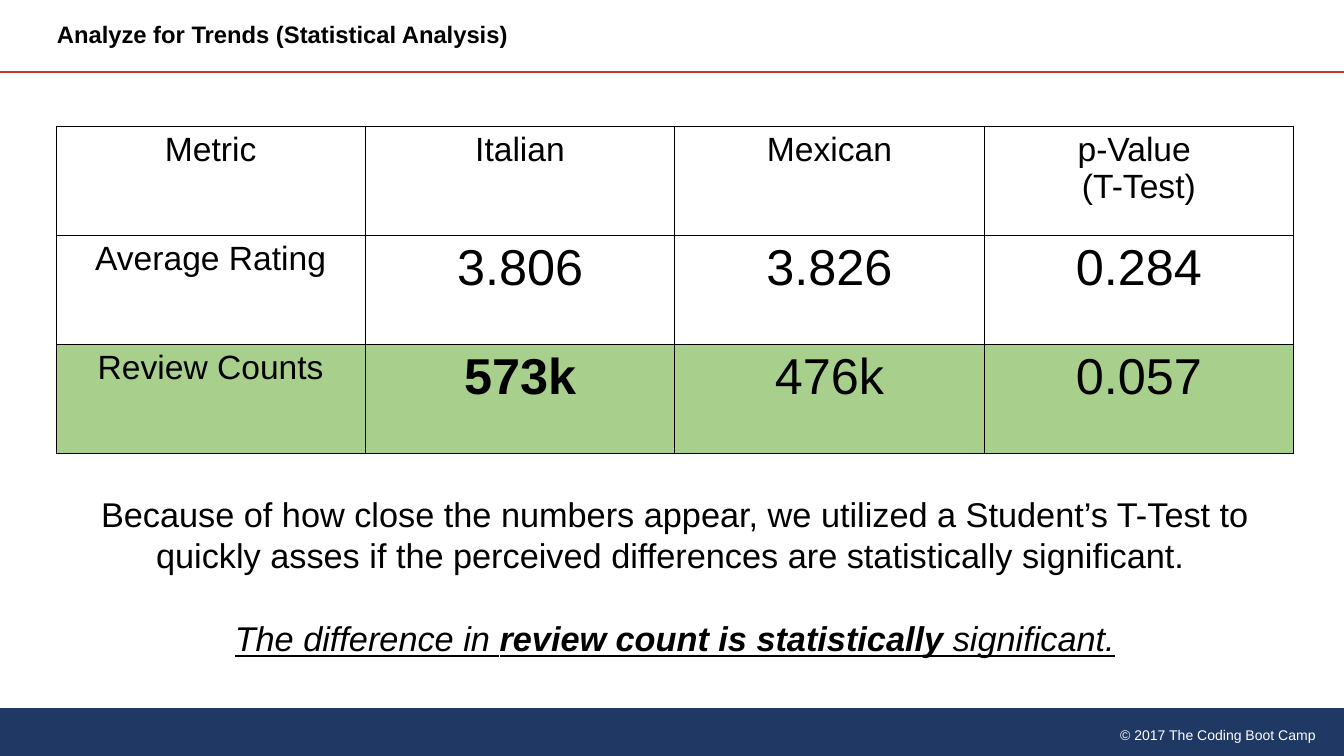
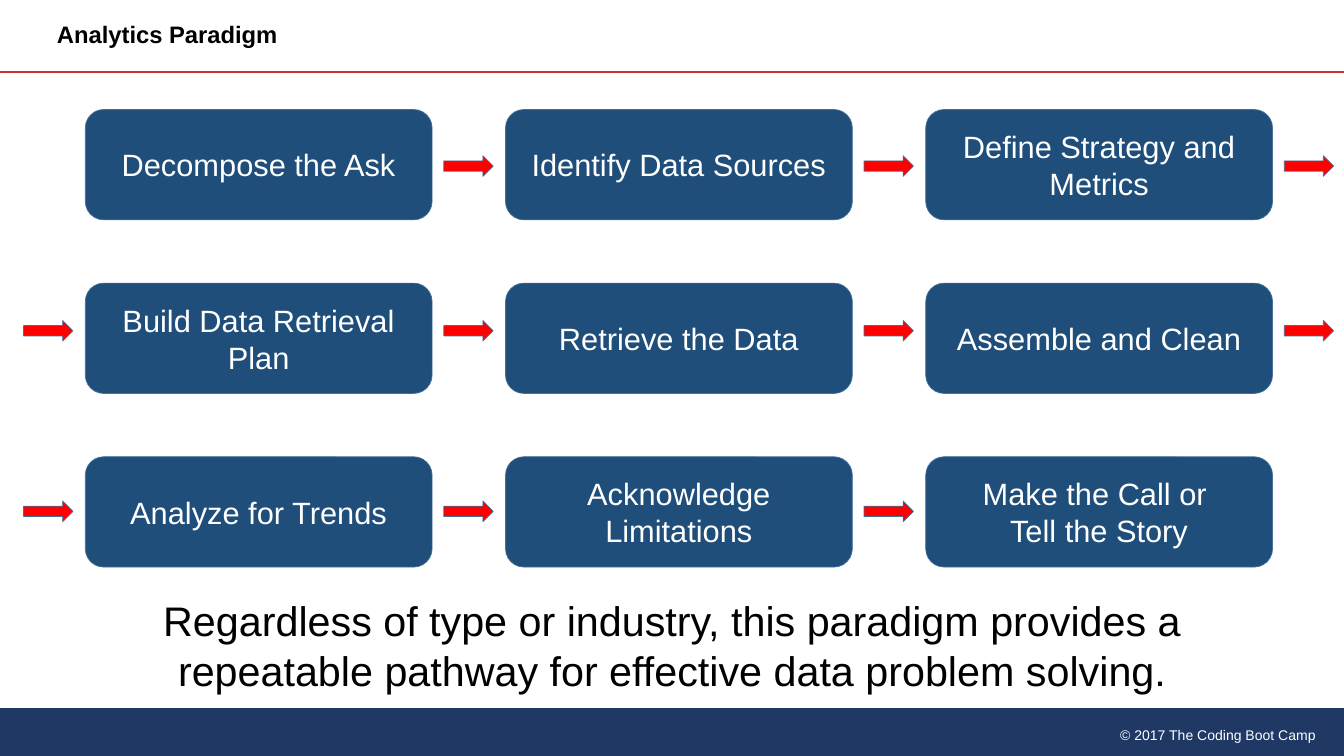
from dataclasses import dataclass

from lxml import etree
from pptx import Presentation
from pptx.dml.color import RGBColor
from pptx.enum.shapes import MSO_CONNECTOR, MSO_SHAPE
from pptx.enum.text import MSO_ANCHOR, PP_ALIGN
from pptx.oxml.ns import qn
from pptx.util import Cm, Pt

LEFT, CENTER, RIGHT = PP_ALIGN.LEFT, PP_ALIGN.CENTER, PP_ALIGN.RIGHT
TOP, MIDDLE = MSO_ANCHOR.TOP, MSO_ANCHOR.MIDDLE
ROUNDED, ARROW = MSO_SHAPE.ROUNDED_RECTANGLE, MSO_SHAPE.RIGHT_ARROW
PROCESS, STRAIGHT = MSO_SHAPE.FLOWCHART_PROCESS, MSO_CONNECTOR.STRAIGHT


@dataclass(frozen=True)
class Theme:
    font: str = "Arial"
    # Colours
    black: str = "000000"
    white: str = "FFFFFF"
    navy: str = "1F3864"
    rule: str = "C83232"
    step: str = "1E4E79"
    outline: str = "42719B"
    arrow: str = "FF0000"
    highlight: str = "A8D08C"
    # Type sizes in points
    footer: int = 20
    title: int = 34
    button: int = 44
    label: int = 48
    body: int = 49
    closing: int = 59
    value: int = 72


THEME = Theme()
WIDTH, HEIGHT = 67.74, 38.1
BAND_TOP, RULE_TOP = 35.66, 3.63
TEXT_INSETS = (0.61, 0.3)
CELL_INSETS = (0.69, 0.25)


class Deck:
    """Holds the theme and the current slide; all lengths are centimetres."""

    def __init__(self, theme):
        self.theme = theme
        self.prs = Presentation()
        self.prs.slide_width, self.prs.slide_height = Cm(WIDTH), Cm(HEIGHT)
        self.s = None

    def slide(self, title):
        t = self.theme
        self.s = self.prs.slides.add_slide(self.prs.slide_layouts[6])
        self.shape(PROCESS, (0, BAND_TOP, WIDTH, HEIGHT - BAND_TOP), t.navy)
        self.text((46.28, 36.32, 20.65, 1.19), ["© 2017 The Coding Boot Camp"],
                  t.footer, t.white, RIGHT)
        self.line((0, RULE_TOP), (WIDTH, RULE_TOP), t.rule, 3.25)
        tf = self.text((2.26, 0, 46.84, RULE_TOP), [[(title, {"bold": True})]],
                       t.title, t.black, LEFT, MIDDLE)
        tf.paragraphs[0].line_spacing = 0.9

    def fill_text(self, tf, paragraphs, size, color, align):
        """Each paragraph is a string or a list of (text, format) runs."""
        for i, runs in enumerate(paragraphs):
            p = tf.add_paragraph() if i else tf.paragraphs[0]
            p.alignment = align
            for words, extra in [(runs, {})] if isinstance(runs, str) else runs:
                r = p.add_run()
                r.text = words
                fmt = {"name": self.theme.font, "size": Pt(size), "bold": False}
                for key, value in {**fmt, **extra}.items():
                    setattr(r.font, key, value)
                r.font.color.rgb = RGBColor.from_string(color)

    def frame(self, tf, paragraphs, size, color, align, anchor):
        self.set_insets(tf, TEXT_INSETS)
        tf.word_wrap = True
        tf.vertical_anchor = anchor
        self.fill_text(tf, paragraphs, size, color, align)
        return tf

    @staticmethod
    def set_insets(target, insets):
        for side, value in zip(("left", "right", "top", "bottom"),
                               (insets[0], insets[0], insets[1], insets[1])):
            setattr(target, f"margin_{side}", Cm(value))

    def text(self, box, paragraphs, size, color, align=CENTER, anchor=TOP):
        sp = self.s.shapes.add_textbox(*map(Cm, box))
        return self.frame(sp.text_frame, paragraphs, size, color, align, anchor)

    def shape(self, kind, box, fill, outline=None):
        sp = self.s.shapes.add_shape(kind, *map(Cm, box))
        sp.shadow.inherit = False
        sp.fill.solid()
        sp.fill.fore_color.rgb = RGBColor.from_string(fill)
        if outline:
            sp.line.color.rgb = RGBColor.from_string(outline)
            sp.line.width = Pt(1)
        else:
            sp.line.fill.background()
        return sp

    def button(self, box, paragraphs):
        t = self.theme
        sp = self.shape(ROUNDED, box, t.step, t.outline)
        self.frame(sp.text_frame, paragraphs, t.button, t.white, CENTER, MIDDLE)

    def line(self, start, end, color, width):
        c = self.s.shapes.add_connector(STRAIGHT, *map(Cm, (*start, *end)))
        c.line.color.rgb = RGBColor.from_string(color)
        c.line.width = Pt(width)
        etree.SubElement(c._element.spPr, qn("a:effectLst"))

    def table(self, box, rows, highlight_row):
        t = self.theme
        n_rows, n_cols = len(rows), len(rows[0])
        table = self.s.shapes.add_table(n_rows, n_cols, *map(Cm, box)).table
        table.first_row = table.horz_banding = False
        for col in table.columns:
            col.width = Cm(box[2] / n_cols)
        for i, row in enumerate(rows):
            table.rows[i].height = Cm(box[3] / n_rows)
            for j, paragraphs in enumerate(row):
                cell = table.cell(i, j)
                self.set_insets(cell, CELL_INSETS)
                self.borders(cell)
                cell.fill.solid()
                cell.fill.fore_color.rgb = RGBColor.from_string(
                    t.highlight if i == highlight_row else t.white)
                size = t.value if i and j else t.label
                self.fill_text(cell.text_frame, paragraphs, size, t.black, CENTER)

    def borders(self, cell):
        tc_pr = cell._tc.get_or_add_tcPr()
        for side in ("lnL", "lnR", "lnT", "lnB"):
            ln = etree.SubElement(tc_pr, qn(f"a:{side}"), w=str(Pt(1)))
            fill = etree.SubElement(ln, qn("a:solidFill"))
            etree.SubElement(fill, qn("a:srgbClr"), val=self.theme.black)


def trends_slide(deck):
    t = deck.theme
    deck.slide("Analyze for Trends (Statistical Analysis)")

    # Comparison of the two cuisines
    bold = {"bold": True}
    deck.table((2.82, 6.35, 62.38, 16.51), [
        [["Metric"], ["Italian"], ["Mexican"], ["p-Value ", "(T-Test)"]],
        [["Average Rating"], ["3.806"], ["3.826"], ["0.284"]],
        [["Review Counts"], [[("573k", bold)]], ["476k"], ["0.057"]],
    ], highlight_row=2)

    # Reading of the result
    stress = {"italic": True, "underline": True}
    tf = deck.text((2.82, 24.56, 62.38, 7.34), [
        "Because of how close the numbers appear, we utilized a Student’s T-Test "
        "to quickly asses if the perceived differences are statistically "
        "significant. ",
        [("The difference in ", stress),
         ("review count is statistically ", {**stress, **bold}),
         ("significant.", stress)],
    ], t.body, t.black)
    tf.paragraphs[1].space_before = Pt(60)


def paradigm_slide(deck):
    t = deck.theme
    deck.slide("Analytics Paradigm")

    # Steps in three rows; each row has its arrow height and arrow slots
    pitch_x, pitch_y = 21.18, 8.75
    rows = [
        (7.85, (1, 2, 3), [["Decompose the Ask"], ["Identify Data Sources"],
                           ["Define Strategy and Metrics"]]),
        (16.15, (0, 1, 2, 3), [["Build Data Retrieval Plan"],
                               ["Retrieve the Data"], ["Assemble and Clean"]]),
        (25.25, (0, 1, 2), [["Analyze for Trends"], ["Acknowledge Limitations"],
                            ["Make the Call or ", "Tell the Story"]]),
    ]
    for i, (arrow_top, slots, steps) in enumerate(rows):
        for j, step in enumerate(steps):
            deck.button((4.3 + j * pitch_x, 5.52 + i * pitch_y, 17.48, 5.56), step)
        for slot in slots:
            deck.shape(ARROW, (1.19 + slot * pitch_x, arrow_top, 2.49, 1.04),
                       t.arrow, t.outline)

    # Closing statement
    deck.text((2.46, 29.72, 62.89, 4.62), [
        "Regardless of type or industry, this paradigm provides a repeatable "
        "pathway for effective data problem solving."], t.closing, t.black)


def main():
    deck = Deck(THEME)
    trends_slide(deck)
    paradigm_slide(deck)
    deck.prs.save("out.pptx")


if __name__ == "__main__":
    main()
